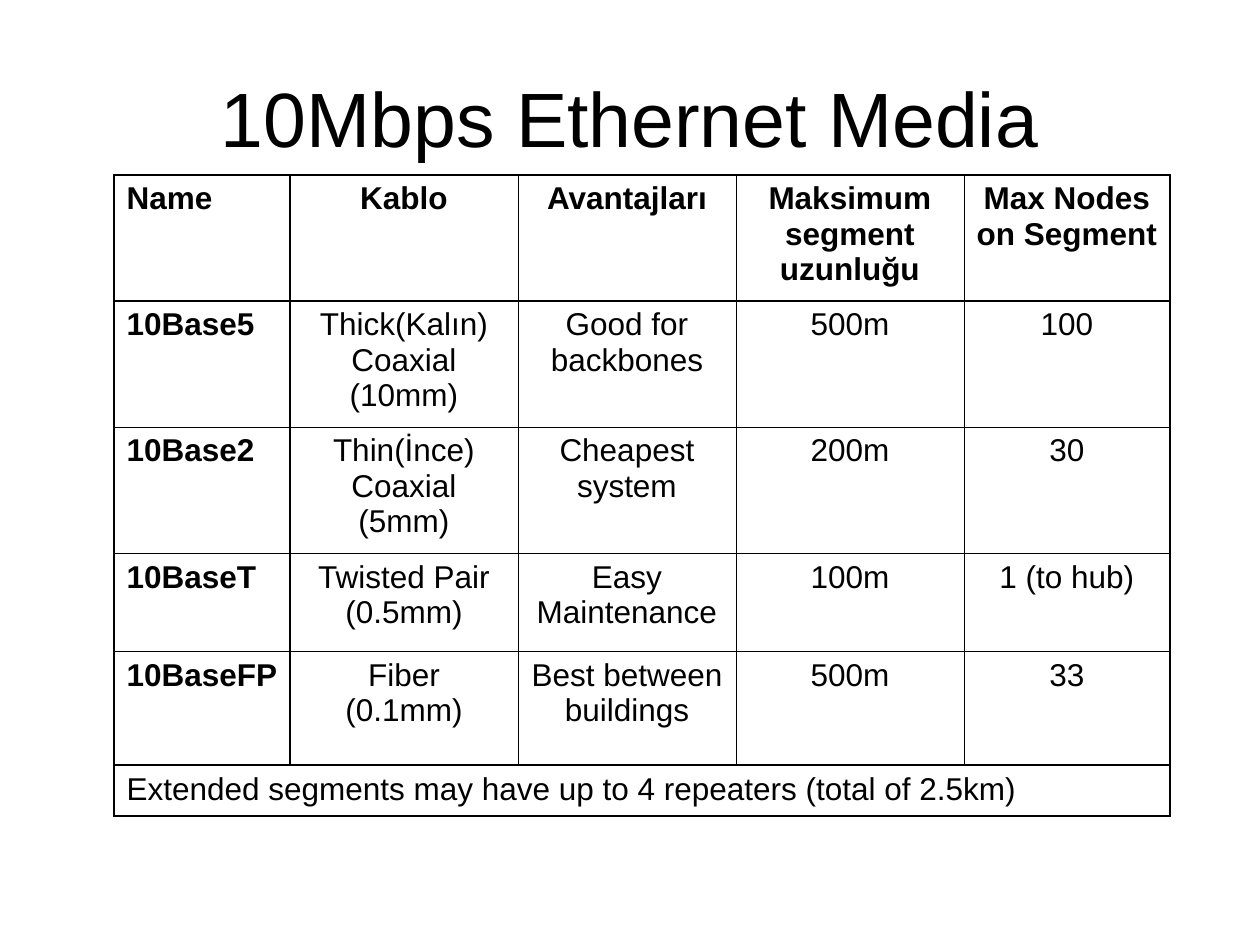
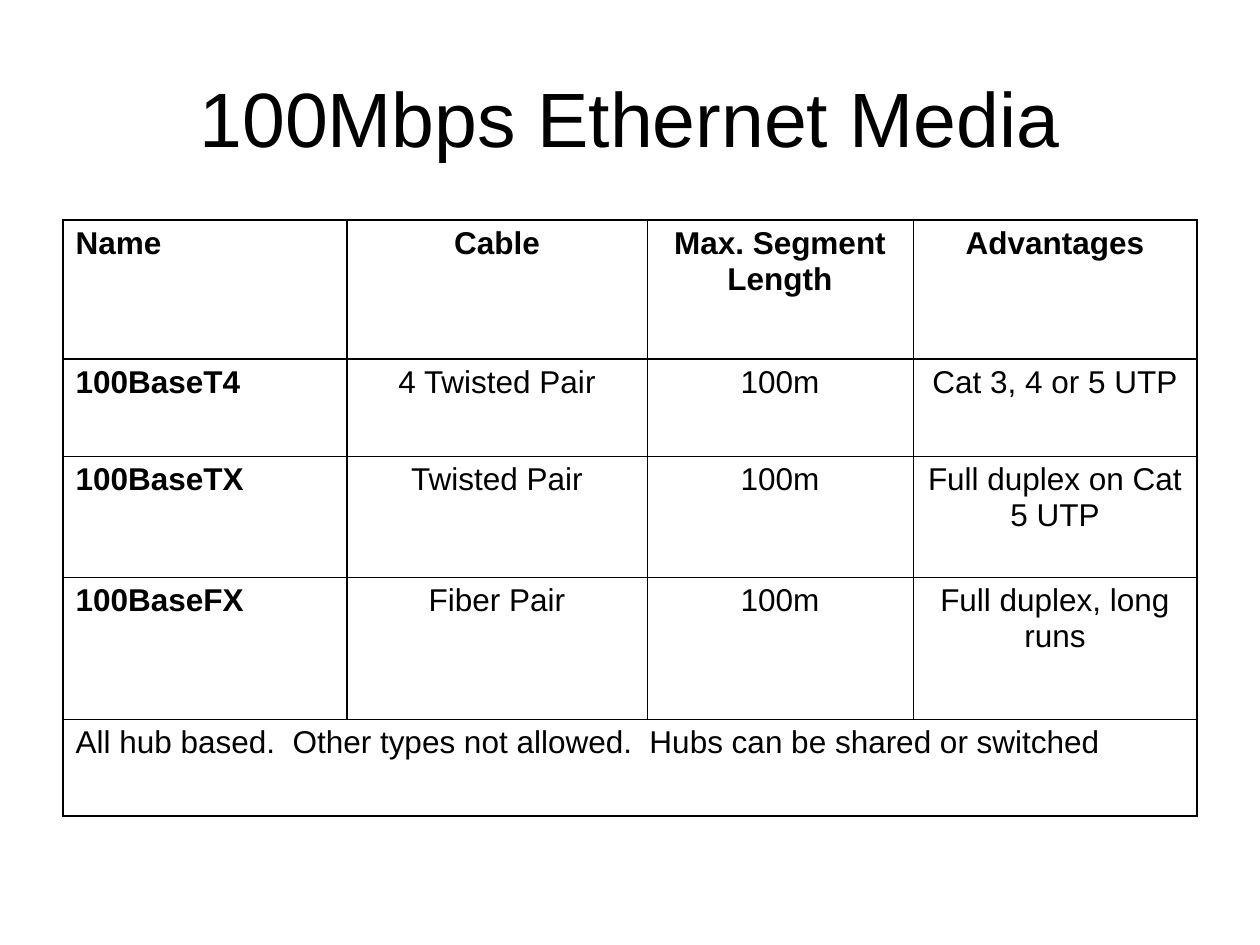
import pptx
import pptx.dml.color
import pptx.enum.text
import pptx.oxml.ns
import pptx.util
import lxml.etree

BLACK = pptx.dml.color.RGBColor(0x00, 0x00, 0x00)
FONT = "Arial"
THIN, THICK = 0.45, 1.08
CENTER = pptx.enum.text.PP_ALIGN.CENTER
LEFT = pptx.enum.text.PP_ALIGN.LEFT


def px(size):
    return pptx.util.Emu(round(size * 914400 / 126))


def style(par, size, bold, align):
    par.alignment = align
    par.font.name = FONT
    par.font.size = pptx.util.Pt(size)
    par.font.bold = bold
    par.font.color.rgb = BLACK


def add_title(slide, text):
    box = slide.shapes.add_textbox(px(63), px(38), px(1134), px(157))
    frame = box.text_frame
    frame.word_wrap = True
    frame.vertical_anchor = pptx.enum.text.MSO_ANCHOR.MIDDLE
    frame.text = text
    style(frame.paragraphs[0], 44, False, CENTER)


def add_edge(cell, side, width):
    name = pptx.oxml.ns.qn
    props = cell._tc.get_or_add_tcPr()
    line = lxml.etree.SubElement(props, name(f"a:ln{side}"), w=str(pptx.util.Pt(width)))
    fill = lxml.etree.SubElement(line, name("a:solidFill"))
    lxml.etree.SubElement(fill, name("a:srgbClr"), val=str(BLACK))


def add_edges(cell, row, col, heavy_rows, heavy_cols):
    edges = [("L", col, heavy_cols), ("R", col + 1, heavy_cols),
             ("T", row, heavy_rows), ("B", row + 1, heavy_rows)]
    for side, place, heavy in edges:
        add_edge(cell, side, THICK if place in heavy else THIN)


def fill_cell(cell, text, bold, align):
    cell.text_frame.text = text
    for par in cell.text_frame.paragraphs:
        style(par, 18, bold, align)


def add_grid(slide, left, top, widths, heights, rows, note, heavy_rows):
    count, last = len(widths), len(rows)
    grid = slide.shapes.add_table(last + 1, count, px(left), px(top),
                                  px(sum(widths)), px(sum(heights))).table
    grid.first_row = grid.horz_banding = False
    for col, width in zip(grid.columns, widths):
        col.width = px(width)
    for row, height in zip(grid.rows, heights):
        row.height = px(height)

    for r, texts in enumerate(rows):
        for c, text in enumerate(texts):
            cell = grid.cell(r, c)
            fill_cell(cell, text, r == 0 or c == 0, CENTER if c else LEFT)
            add_edges(cell, r, c, heavy_rows, (0, 1, count))
            cell.fill.background()

    foot = grid.cell(last, 0)
    foot.merge(grid.cell(last, count - 1))
    fill_cell(foot, note, False, LEFT)
    add_edges(foot, last, 0, heavy_rows, (0, 1))
    foot.fill.background()
    for c in range(1, count):
        cell = grid.cell(last, c)
        if c == count - 1:
            add_edge(cell, "R", THICK)
        add_edge(cell, "T", THICK if last in heavy_rows else THIN)
        add_edge(cell, "B", THICK)
        cell.fill.background()


def main():
    deck = pptx.Presentation()
    deck.slide_width, deck.slide_height = px(1260), px(945)
    blank = deck.slide_layouts[6]

    slow = deck.slides.add_slide(blank)
    add_title(slow, "10Mbps Ethernet Media")
    add_grid(
        slow, 114, 175, [176, 228, 218, 228, 206], [126, 126, 126, 98, 114, 51],
        [
            ["Name", "Kablo", "Avantajları", "Maksimum segment uzunluğu",
             "Max Nodes on Segment"],
            ["10Base5", "Thick(Kalın) Coaxial\n(10mm)", "Good for backbones", "500m", "100"],
            ["10Base2", "Thin(İnce) Coaxial\n(5mm)", "Cheapest system", "200m", "30"],
            ["10BaseT", "Twisted Pair\n(0.5mm)", "Easy Maintenance", "100m", "1 (to hub)"],
            ["10BaseFP", "Fiber\n(0.1mm)", "Best between buildings", "500m", "33"],
        ],
        "Extended segments may have up to 4 repeaters (total of 2.5km)", (0, 1, 5, 6))

    fast = deck.slides.add_slide(blank)
    add_title(fast, "100Mbps Ethernet Media")
    add_grid(
        fast, 63, 220, [284, 300, 266, 284], [139, 97, 121, 142, 97],
        [
            ["Name", "Cable", "Max. Segment Length", "Advantages"],
            ["100BaseT4", "4 Twisted Pair", "100m", "Cat 3, 4 or 5 UTP"],
            ["100BaseTX", "Twisted Pair", "100m", "Full duplex on Cat 5 UTP"],
            ["100BaseFX", "Fiber Pair", "100m", "Full duplex, long runs"],
        ],
        "All hub based.  Other types not allowed.  Hubs can be shared or switched", (0, 1, 5))

    deck.save("out.pptx")


if __name__ == "__main__":
    main()
